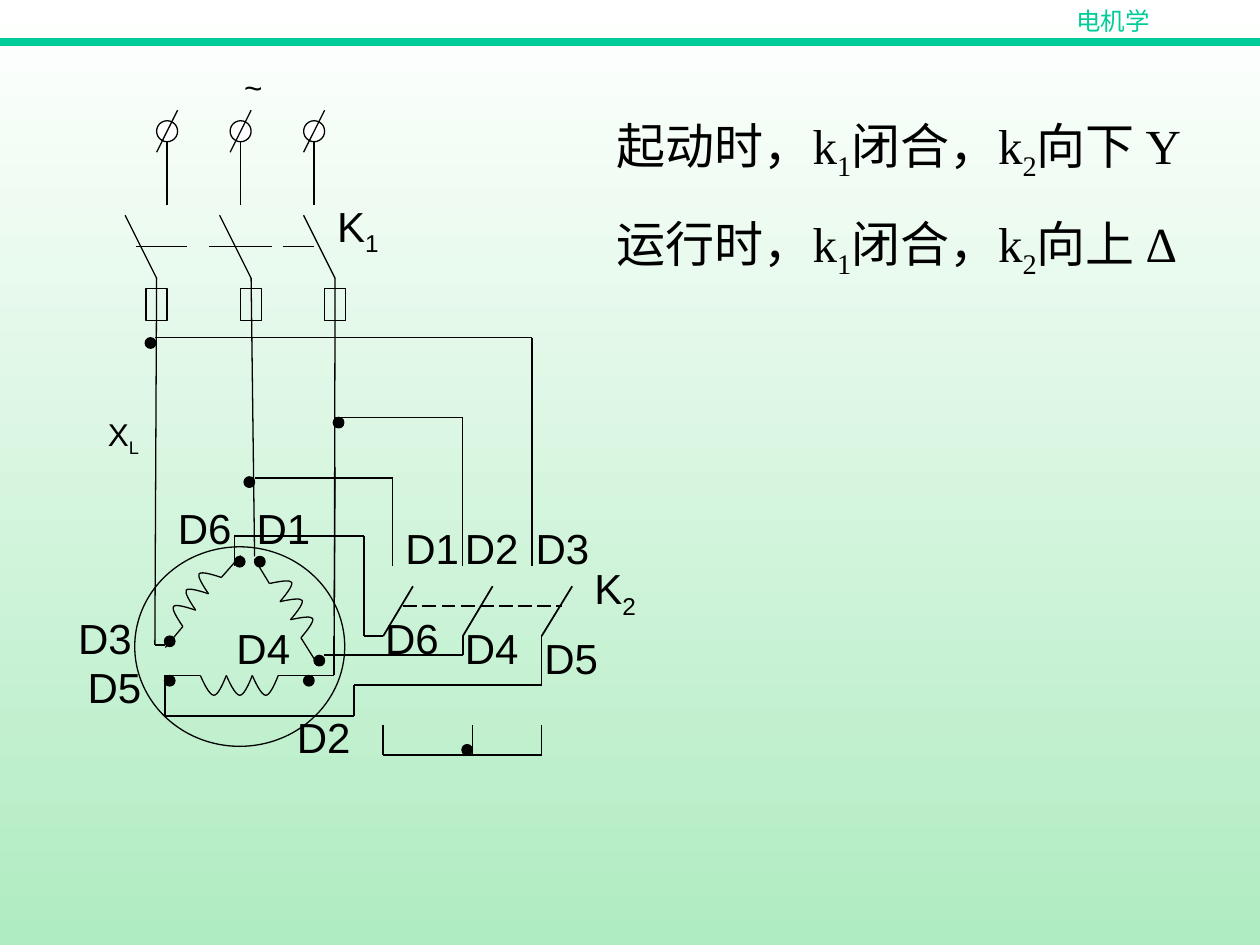
from itertools import pairwise
from math import hypot

from lxml.etree import SubElement
from pptx import Presentation
from pptx.dml.color import RGBColor
from pptx.enum.dml import MSO_LINE as Dash
from pptx.enum.shapes import MSO_CONNECTOR as Connector, MSO_SHAPE as Shape
from pptx.enum.text import MSO_AUTO_SIZE as AutoSize, PP_ALIGN as Align
from pptx.oxml.ns import qn
from pptx.util import Pt

BLACK = RGBColor(0x00, 0x00, 0x00)
WHITE = RGBColor(0xFF, 0xFF, 0xFF)
TEAL = RGBColor(0x00, 0xCC, 0x99)
MINT = RGBColor(0xB0, 0xEC, 0xC1)
THIN, WIDE = 0.75, 1

# One bump of a coil: two curves, as (share of chord, share of depth)
BUMP = [(0.15, 0.5), (0.33, 1), (0.48, 1), (0.67, 1), (0.93, 0.2), (1, 0)]
BUMP_DEPTH = 11.3


def set_background(slide):
    fill = slide.background.fill
    fill.gradient()
    fill.gradient_angle = 270
    for stop, color in zip(fill.gradient_stops, (WHITE, MINT)):
        stop.color.rgb = color


def add_wire(slide, *points, width=THIN, color=BLACK, dash=None):
    """Join the points, each an (x, y) pair, with straight lines."""
    for start, end in pairwise(points):
        ends = [Pt(value) for value in (*start, *end)]
        line = slide.shapes.add_connector(Connector.STRAIGHT, *ends)
        line.line.width = Pt(width)
        line.line.color.rgb = color
        if dash:
            line.line.dash_style = dash
        SubElement(line._element.spPr, qn("a:effectLst"))


def format_outline(shape, fill=None):
    shape.shadow.inherit = False
    shape.line.width = Pt(THIN)
    shape.line.color.rgb = BLACK
    if fill is None:
        shape.fill.background()
    else:
        shape.fill.solid()
        shape.fill.fore_color.rgb = fill


def add_centred(slide, kind, x, y, width, height, fill=None):
    shape = slide.shapes.add_shape(
        kind, Pt(x - width / 2), Pt(y - height / 2), Pt(width), Pt(height))
    format_outline(shape, fill)


def add_bump(slide, x, y, dx, dy):
    """Draw one coil bump along the chord (dx, dy), bulging to its side."""
    depth = BUMP_DEPTH / hypot(dx, dy)
    points = [(Pt(x + dx * along + dy * depth * out),
               Pt(y + dy * along - dx * depth * out)) for along, out in BUMP]
    builder = slide.shapes.build_freeform(Pt(x), Pt(y))
    builder.add_line_segments(points, close=False)
    shape = builder.convert_to_shape()
    format_outline(shape)
    # Turn each three straight segments into one Bezier curve
    outline = shape._element.find(".//" + qn("a:path"))
    segments = outline.findall(qn("a:lnTo"))
    for first in range(0, len(segments), 3):
        curve = SubElement(outline, qn("a:cubicBezTo"))
        for segment in segments[first:first + 3]:
            curve.append(segment[0])
            outline.remove(segment)


def add_winding(slide, lead_in, start, end, lead_out, bumps=3):
    add_wire(slide, lead_in, start)
    dx, dy = (end[0] - start[0]) / bumps, (end[1] - start[1]) / bumps
    for index in range(bumps):
        add_bump(slide, start[0] + index * dx, start[1] + index * dy, dx, dy)
    add_wire(slide, end, lead_out)


def add_text(slide, lines, left, top, width=76, height=36, size=24,
             font="Arial", color=BLACK, align=Align.LEFT, indent=0, gap=0):
    """Add lines of text; an underscore makes the next letter a subscript."""
    box = slide.shapes.add_textbox(Pt(left), Pt(top), Pt(width), Pt(height))
    frame = box.text_frame
    frame.word_wrap = True
    frame.auto_size = AutoSize.SHAPE_TO_FIT_TEXT
    for index, line in enumerate(lines.split("\n")):
        paragraph = frame.add_paragraph() if index else frame.paragraphs[0]
        paragraph.alignment = align
        if index:
            paragraph.space_before = Pt(gap)
        if indent:
            paragraph._p.get_or_add_pPr().set("marL", str(Pt(indent)))
        plain, *marked = line.split("_")
        pieces = [(plain, False)]
        for part in marked:
            pieces += [(part[0], True), (part[1:], False)]
        for text, subscript in pieces:
            if not text:
                continue
            run = paragraph.add_run()
            run.text = text
            run.font.size = Pt(size)
            run.font.name = font
            run.font.color.rgb = color
            if subscript:
                run._r.get_or_add_rPr().set("baseline", "-25000")


def add_supply(slide):
    # Terminals
    for x in (95.5, 137.5, 179.5):
        add_centred(slide, Shape.OVAL, x, 75, 12, 12, WHITE)
        add_wire(slide, (x, 81), (x, 117))
        add_wire(slide, (x + 6, 63), (x - 6, 87))
    # Switch K1, fuses and phase lines
    for x, end in ((89.5, (88.5, 368.5)), (143.5, (145.5, 318)),
                   (191.5, (191, 368.5))):
        add_wire(slide, (x - 18, 123), (x, 159), end)
        add_centred(slide, Shape.RECTANGLE, x, 174, 12, 18)
    for left, right in ((78, 107), (119.5, 155.5), (161.5, 179.5)):
        add_wire(slide, (left, 141), (right, 141))


def add_motor(slide):
    add_centred(slide, Shape.OVAL, 137, 369.5, 120, 114)
    add_winding(slide, (145.5, 319.5), (154, 333.5), (172, 364.5), (180.5, 378))
    add_winding(slide, (179.5, 386), (159, 386), (114.5, 386), (94.5, 386))
    add_winding(slide, (94.5, 370), (104.5, 358), (126.5, 330), (137.5, 317.5))


def add_connections(slide):
    # Taps from the phase lines to the upper contacts of K2
    add_wire(slide, (88.5, 193), (304, 193), (304, 323.5))
    add_wire(slide, (191, 238.5), (264.5, 238.5), (264.5, 323.5))
    add_wire(slide, (145.5, 273), (224.5, 273), width=WIDE)
    add_wire(slide, (224.5, 273), (224.5, 323.5))
    add_wire(slide, (191.5, 267), (191, 352))
    # Motor terminals, blades of K2 and star point
    for points in (
        [(179.5, 386), (191, 386), (191, 363.5)],
        [(88.5, 368.5), (94.5, 368.5)],
        [(134, 323.5), (134, 306.5), (208, 306.5), (208, 363.5),
         (219, 363.5), (236, 335)],
        [(185, 374.5), (264.5, 374.5), (264.5, 363.5), (281.5, 335)],
        [(94.5, 386), (94.5, 409), (202.5, 409), (202.5, 391.5),
         (309.5, 391.5), (309.5, 363.5), (327, 335)],
        [(219, 414), (219, 431.5), (309.5, 431.5), (309.5, 414)],
        [(270, 431.5), (270, 414)],
    ):
        add_wire(slide, *points, width=WIDE)
    add_wire(slide, (230.5, 346.5), (321, 346.5), width=WIDE,
             dash=Dash.LONG_DASH)
    # Junctions
    for x, y in ((86, 196), (193.5, 241.5), (142.5, 275.5), (137, 321),
                 (148.5, 321), (97, 366.5), (182.5, 377.5), (97, 389),
                 (176.5, 389), (267, 428.5)):
        add_centred(slide, Shape.OVAL, x, y, 6, 6, BLACK)


def add_labels(slide):
    for text, left, top in (
        ("D6", 94.5, 283.5), ("D1", 139.5, 283.5), ("D3", 37.5, 346.5),
        ("D4", 128, 352), ("D5", 43, 374.5), ("D2", 162.5, 403),
        ("D1", 224.5, 295), ("D2", 258.5, 295), ("D3", 299, 295),
        ("D6", 213, 346.5), ("D4", 258.5, 352), ("D5", 304, 358),
        ("K_1", 185.5, 111), ("K_2", 332.5, 318),
    ):
        add_text(slide, text, left, top)
    add_text(slide, "~", 132.5, 35.5, width=144, height=29, size=18)
    add_text(slide, "X_L", 54.5, 233.5, width=132, height=32, size=18)


def main():
    presentation = Presentation()
    presentation.slide_width, presentation.slide_height = Pt(720), Pt(540)
    slide = presentation.slides.add_slide(presentation.slide_layouts[6])
    set_background(slide)

    # Header
    add_wire(slide, (0, 24), (720, 24), width=4.5, color=TEAL)
    add_text(slide, "电机学", 582, 0, width=108, height=24.5, size=14,
             font="Times New Roman", color=TEAL, align=Align.CENTER)

    # Circuit diagram
    add_supply(slide)
    add_motor(slide)
    add_connections(slide)
    add_labels(slide)

    # Explanation
    add_text(slide, "起动时，k_1闭合，k_2向下 Y\n运行时，k_1闭合，k_2向上 Δ",
             309.5, 62.5, width=415, height=101.5, size=28,
             font="Times New Roman", indent=36, gap=17.5)
    presentation.save("out.pptx")


if __name__ == "__main__":
    main()
